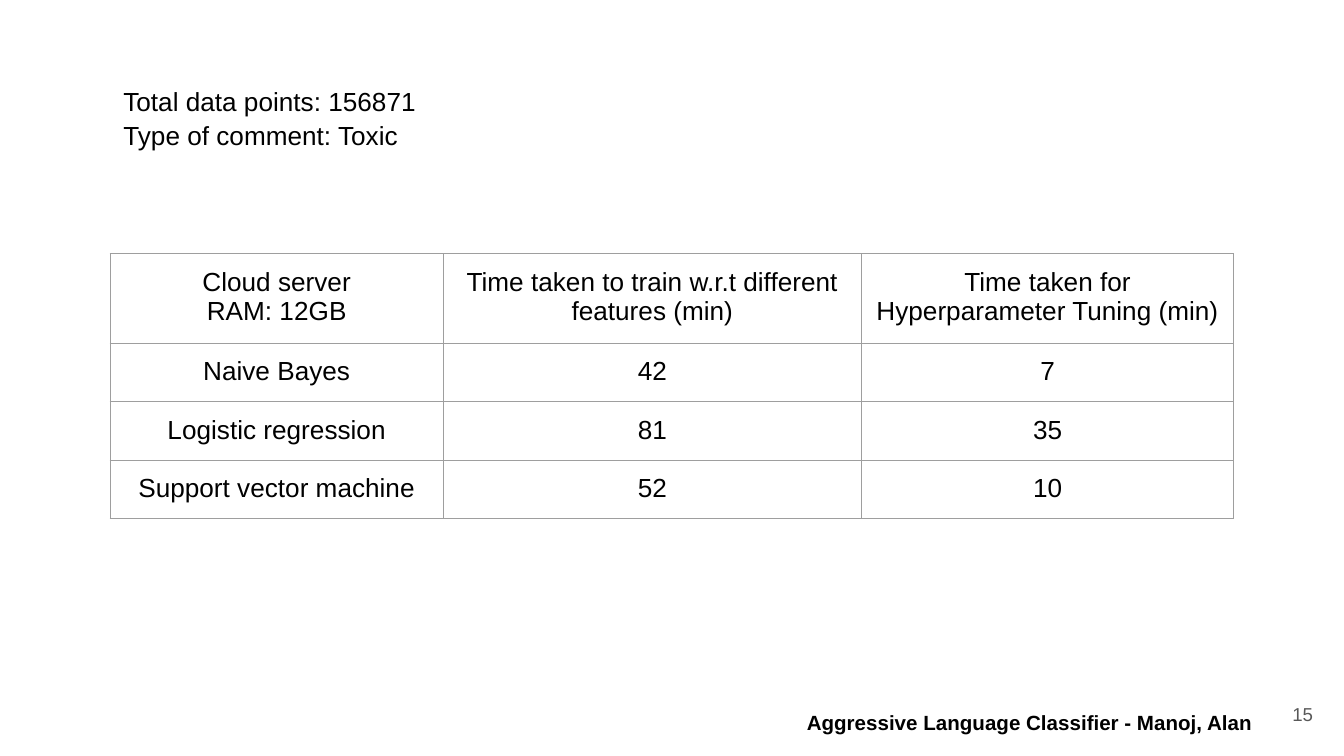
from pptx import Presentation
from pptx.util import Pt
from pptx.dml.color import RGBColor as Rgb
from pptx.enum.text import PP_ALIGN as Align, MSO_ANCHOR as Anchor
from pptx.oxml import parse_xml
from pptx.oxml.ns import nsdecls

COLORS = {"ink": "000000", "number": "595959", "grid": "9E9E9E"}
INSET = 7.2
SIDES = ("left", "right", "top", "bottom")
TIMES = [
    ["Cloud server\nRAM: 12GB", "Time taken to train w.r.t different features (min)",
     "Time taken for Hyperparameter Tuning (min)"],
    ["Naive Bayes", "42", "7"],
    ["Logistic regression", "81", "35"],
    ["Support vector machine", "52", "10"],
]


class SlideBuilder:
    font = "Arial"

    def __init__(self, deck):
        self.slide = deck.slides.add_slide(deck.slide_layouts[5])

    def set_text(self, frame, text, size=14, color="ink", bold=False, align=Align.LEFT, spacing=1.0):
        frame.text = text
        for para in frame.paragraphs:
            layout = {"alignment": align, "line_spacing": spacing, "space_before": Pt(0)}
            for name, value in layout.items():
                setattr(para, name, value)
            for span in para.runs:
                for name, value in {"name": self.font, "size": Pt(size), "bold": bold}.items():
                    setattr(span.font, name, value)
                span.font.color.rgb = Rgb.from_string(COLORS[color])

    def inset(self, holder):
        for side in SIDES:
            setattr(holder, f"margin_{side}", Pt(INSET))

    def fill_box(self, box, text, anchor=Anchor.TOP, **style):
        frame = box.text_frame
        self.inset(frame)
        frame.word_wrap = True
        frame.vertical_anchor = anchor
        self.set_text(frame, text, **style)

    def title(self, place, text, **style):
        box = self.slide.shapes.title
        for name, value in zip(("left", "top", "width", "height"), place):
            setattr(box, name, Pt(value))
        self.fill_box(box, text, **style)

    def text(self, place, text, **style):
        self.fill_box(self.slide.shapes.add_textbox(*map(Pt, place)), text, **style)

    def border(self, cell):
        properties = cell._tc.get_or_add_tcPr()
        for index, side in enumerate("LRTB"):
            properties.insert(index, parse_xml(
                f'<a:ln{side} {nsdecls("a")} w="{Pt(0.75)}"><a:solidFill>'
                f'<a:srgbClr val="{COLORS["grid"]}"/></a:solidFill></a:ln{side}>'))

    def table(self, left, top, widths, heights, rows):
        place = map(Pt, (left, top, sum(widths), sum(heights)))
        table = self.slide.shapes.add_table(len(rows), len(widths), *place).table
        table.first_row = table.horz_banding = False
        for column, width in zip(table.columns, widths):
            column.width = Pt(width)
        for row, height, texts in zip(table.rows, heights, rows):
            row.height = Pt(height)
            for cell, text in zip(row.cells, texts):
                self.inset(cell)
                cell.fill.background()
                self.border(cell)
                self.set_text(cell.text_frame, text, align=Align.CENTER)


def main():
    deck = Presentation()
    deck.slide_width, deck.slide_height = Pt(720), Pt(405)
    page = SlideBuilder(deck)
    page.text((667.5, 367, 43, 31), "15", anchor=Anchor.MIDDLE,
              size=10, color="number", align=Align.RIGHT)
    page.table(59, 136, (178.5, 224, 199.5), (46, 30, 30, 30), TIMES)
    page.text((59, 37.5, 601, 53), "Total data points: 156871\nType of comment: Toxic", spacing=1.07)
    page.title((425, 373, 258.5, 31), "Aggressive Language Classifier - Manoj, Alan", size=11, bold=True)
    deck.save("out.pptx")


if __name__ == "__main__":
    main()
